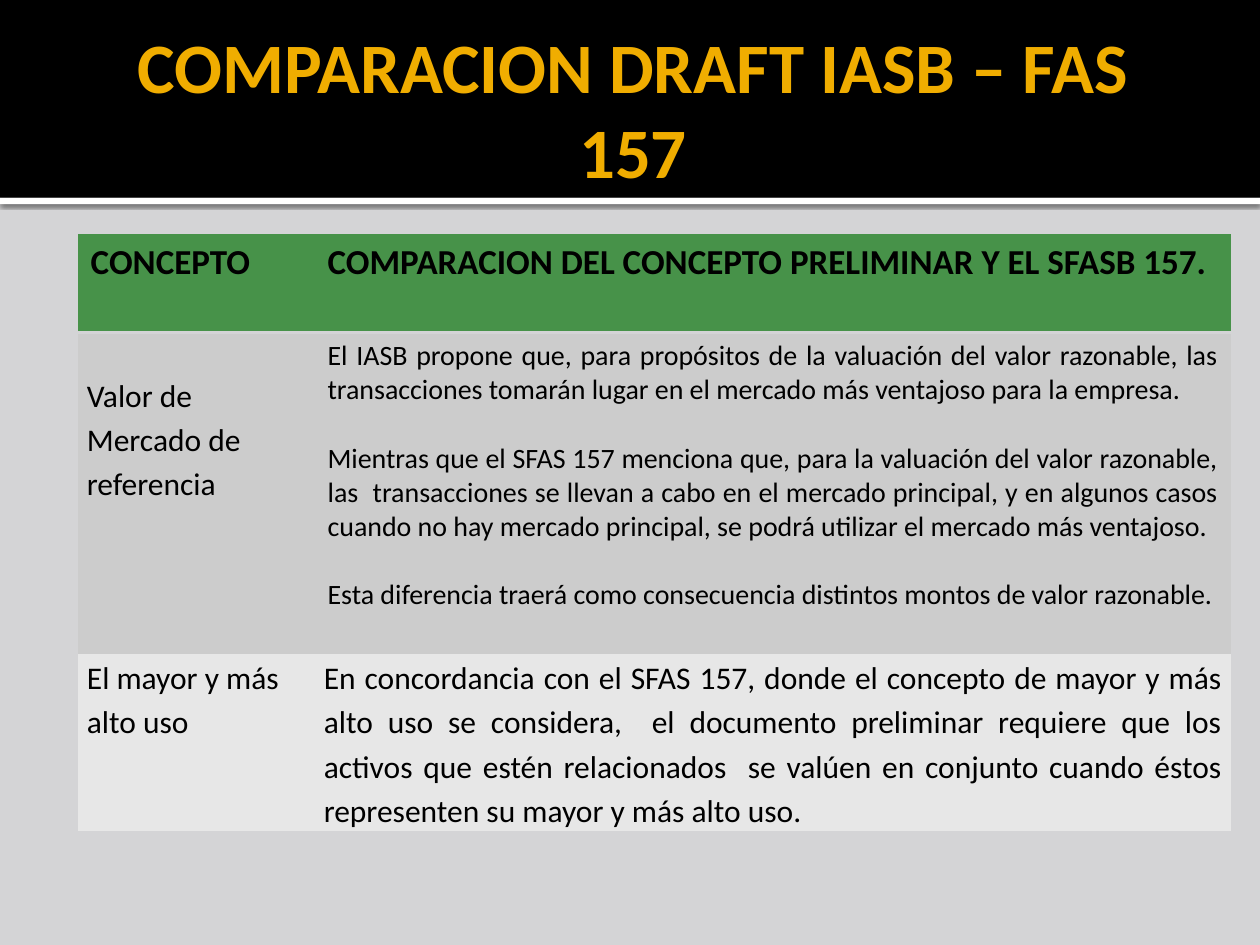
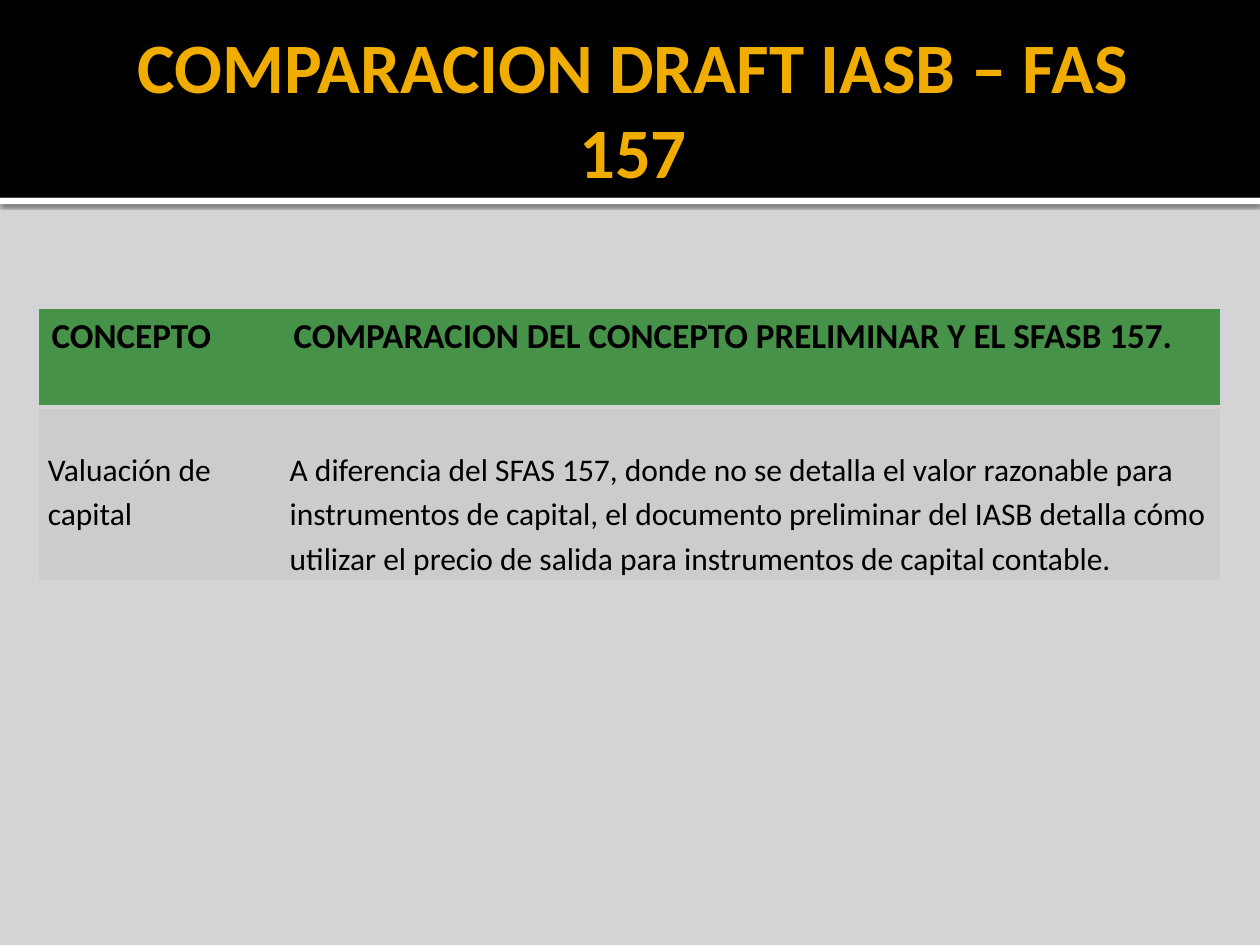
from lxml import etree
from pptx import Presentation
from pptx import util as u
from pptx.dml.color import RGBColor
from pptx.enum import shapes, text
from pptx.oxml.ns import qn

# Content: slides share the title and the header row
TITLE = "COMPARACION DRAFT IASB – FAS 157"
HEADER = ("CONCEPTO", "COMPARACION DEL CONCEPTO PRELIMINAR Y EL SFASB 157.")

# Each cell: (style, paragraphs)
SLIDES = [
    dict(left=0.62, top=1.86, cols=(1.88, 7.27), heights=(0.78, 2.55, 1.4), rows=[
        (("lowered", ["Valor de Mercado de referencia"]),
         ("detail", [
             "El IASB propone que, para propósitos de la valuación del valor razonable, "
             "las transacciones tomarán lugar en el mercado más ventajoso para la empresa. ",
             "Mientras que el SFAS 157 menciona que, para la valuación del valor razonable, "
             "las  transacciones se llevan a cabo en el mercado principal, y en algunos casos "
             "cuando no hay mercado principal, se podrá utilizar el mercado más ventajoso. ",
             "Esta diferencia traerá como consecuencia distintos montos de valor razonable."])),
        (("body", ["El mayor y más alto uso"]),
         ("justified", [
             "En concordancia con el SFAS 157, donde el concepto de mayor y más alto uso se "
             "considera,  el documento preliminar requiere que los activos que estén "
             "relacionados  se valúen en conjunto cuando éstos representen su mayor y más "
             "alto uso."])),
    ]),
    dict(left=0.31, top=2.45, cols=(1.92, 7.45), heights=(0.78, 1.37), rows=[
        (("lowered", ["Valuación de capital"]),
         ("lowered", [
             "A diferencia del SFAS 157, donde no se detalla el valor razonable para "
             "instrumentos de capital, el documento preliminar del IASB detalla cómo utilizar "
             "el precio de salida para instrumentos de capital contable."])),
    ]),
]

# Theme
THEME = dict(font="Calibri", bg="D4D4D6", band="000000", rule="FFFFFF", title="F0AD00",
             ink="000000", header="479249", stripes=("CCCCCC", "E7E7E7"),
             title_size=40.5, border=2)
NO_TABLE_STYLE = "{2D5ABB26-0587-4C30-8999-92F81FD0307C}"
BODY = dict(size=18, bold=False, spacing=1.15, align=text.PP_ALIGN.LEFT, side=0.07, top=0, gap=0)
STYLES = {
    "header": {**BODY, "size": 20, "bold": True, "spacing": 1, "side": 0.1, "top": 0.05},
    "body": BODY,
    "lowered": {**BODY, "top": 0.31},
    "justified": {**BODY, "align": text.PP_ALIGN.JUSTIFY},
    "detail": {**BODY, "size": 16, "spacing": 1, "align": text.PP_ALIGN.JUSTIFY,
               "side": 0.1, "top": 0.05, "gap": 19.5},
}
SLIDE_W, SLIDE_H, BAND_H, RULE_H = 10, 7.5, 1.57, 0.05


def rgb(value):
    return RGBColor.from_string(value)


def set_all(obj, **values):
    for name, value in values.items():
        setattr(obj, name, value)


def paint(fill, color):
    fill.solid()
    fill.fore_color.rgb = rgb(color)


def add_color(parent, color, alpha=None):
    fill = etree.SubElement(parent, qn("a:srgbClr"), val=color)
    if alpha:
        etree.SubElement(fill, qn("a:alpha"), val=str(alpha * 1000))


def add_bar(s, top, height, color, depth):
    sp = s.shapes.add_shape(shapes.MSO_SHAPE.RECTANGLE, 0, u.Inches(top),
                            u.Inches(SLIDE_W), u.Inches(height))
    sp.shadow.inherit = False
    sp.line.fill.background()
    paint(sp.fill, color)
    s.shapes._spTree.insert(2 + depth, sp._element)
    return sp


def add_band(s):
    rule = add_bar(s, BAND_H, RULE_H, THEME["rule"], 0)
    effects = rule._element.spPr.find(qn("a:effectLst"))
    shadow = etree.SubElement(effects, qn("a:outerShdw"), blurRad=str(u.Pt(2.5)),
                              dist=str(u.Pt(0.8)), dir=str(90 * 60000), rotWithShape="0")
    add_color(shadow, "000000", 60)
    add_bar(s, 0, BAND_H, THEME["band"], 1)


def add_title(s):
    sp = s.shapes.title
    set_all(sp, left=u.Inches(0.5), top=u.Inches(0.17), width=u.Inches(9), height=u.Inches(1.37))
    tf = sp.text_frame
    set_all(tf, text=TITLE, word_wrap=True, auto_size=text.MSO_AUTO_SIZE.NONE,
            vertical_anchor=text.MSO_ANCHOR.MIDDLE, margin_left=u.Inches(0.1),
            margin_right=u.Inches(0.05), margin_top=u.Inches(0.05), margin_bottom=u.Inches(0.05))
    p = tf.paragraphs[0]
    p.alignment = text.PP_ALIGN.CENTER
    set_all(p.font, name=THEME["font"], size=u.Pt(THEME["title_size"]), bold=True)
    p.font.color.rgb = rgb(THEME["title"])


def fill_cell(cell, style_name, paragraphs, color):
    style = STYLES[style_name]
    side = u.Inches(style["side"])
    set_all(cell, margin_left=side, margin_right=side,
            margin_top=u.Inches(style["top"]), margin_bottom=0)
    paint(cell.fill, color)
    tf = cell.text_frame
    for i, words in enumerate(paragraphs):
        p = tf.add_paragraph() if i else tf.paragraphs[0]
        set_all(p, text=words, alignment=style["align"], line_spacing=style["spacing"])
        if i:
            p.space_before = u.Pt(style["gap"])
        f = p.runs[0].font
        set_all(f, name=THEME["font"], size=u.Pt(style["size"]), bold=style["bold"])
        f.color.rgb = rgb(THEME["ink"])


def underline_cell(cell):
    ln = etree.Element(qn("a:lnB"), w=str(u.Pt(THEME["border"])))
    add_color(etree.SubElement(ln, qn("a:solidFill")), THEME["bg"])
    cell._tc.get_or_add_tcPr().insert(0, ln)


def add_comparison(s, left, top, cols, heights, rows):
    frame = s.shapes.add_table(len(heights), len(cols), u.Inches(left), u.Inches(top),
                               u.Inches(sum(cols)), u.Inches(sum(heights)))
    table = frame.table
    table._tbl.tblPr.find(qn("a:tableStyleId")).text = NO_TABLE_STYLE
    for column, width in zip(table.columns, cols):
        column.width = u.Inches(width)
    for row, height in zip(table.rows, heights):
        row.height = u.Inches(height)
    for c, words in enumerate(HEADER):
        fill_cell(table.cell(0, c), "header", [words], THEME["header"])
        underline_cell(table.cell(0, c))
    for r, row in enumerate(rows):
        for c, (style_name, paragraphs) in enumerate(row):
            fill_cell(table.cell(r + 1, c), style_name, paragraphs, THEME["stripes"][r % 2])


def main():
    prs = Presentation()
    set_all(prs, slide_width=u.Inches(SLIDE_W), slide_height=u.Inches(SLIDE_H))
    paint(prs.slide_master.background.fill, THEME["bg"])
    for content in SLIDES:
        s = prs.slides.add_slide(prs.slide_layouts[5])
        add_band(s)
        add_title(s)
        add_comparison(s, **content)
    prs.save("out.pptx")


if __name__ == "__main__":
    main()
